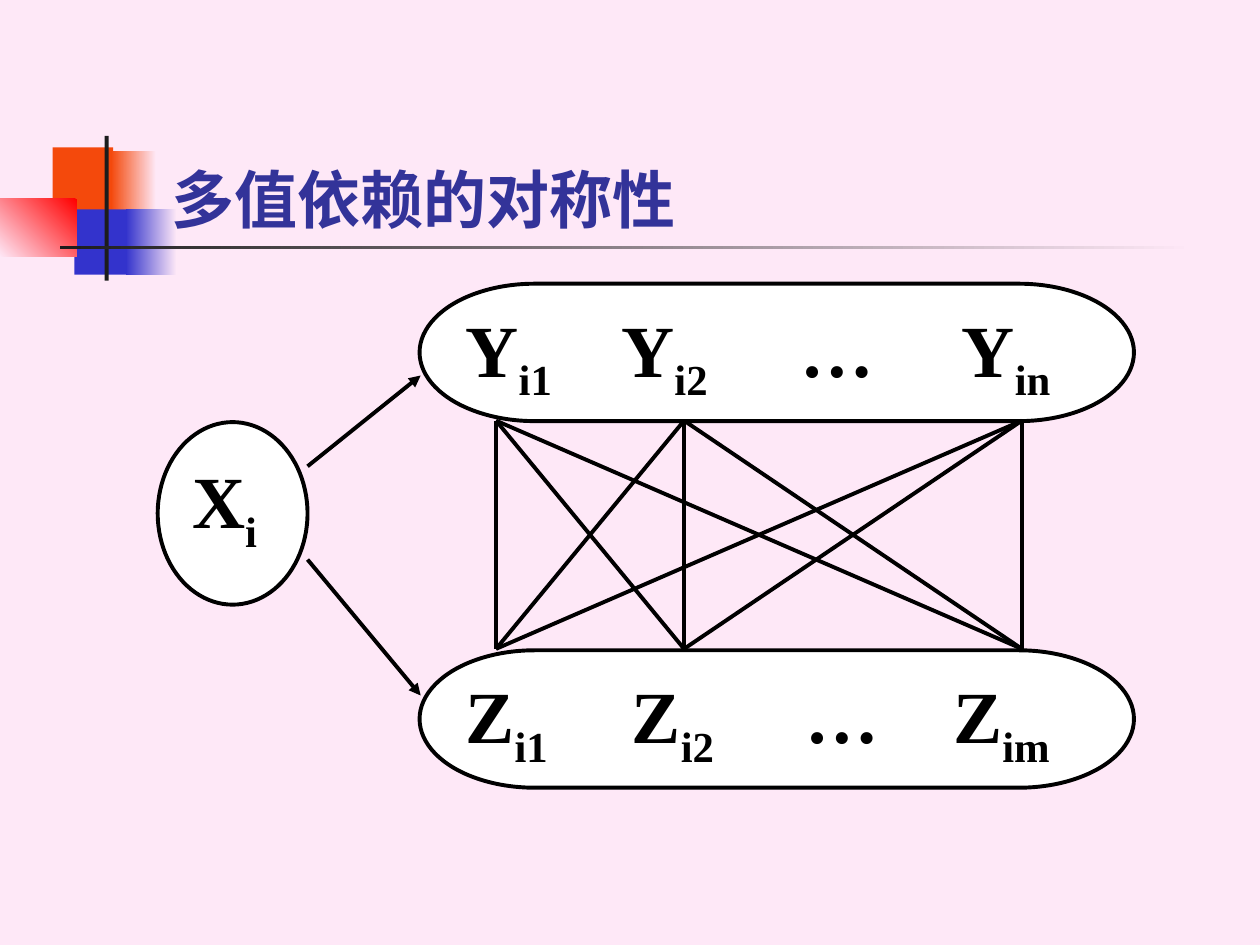
from dataclasses import dataclass
from itertools import product
from typing import NamedTuple

from lxml import etree
from pptx import Presentation
from pptx.dml.color import RGBColor
from pptx.enum.shapes import MSO_CONNECTOR, MSO_SHAPE
from pptx.enum.text import MSO_ANCHOR, MSO_AUTO_SIZE, PP_ALIGN
from pptx.oxml.ns import qn
from pptx.util import Cm, Pt

RECTANGLE = MSO_SHAPE.RECTANGLE
OVAL = MSO_SHAPE.OVAL
TERMINATOR = MSO_SHAPE.FLOWCHART_TERMINATOR
STRAIGHT = MSO_CONNECTOR.STRAIGHT
TITLE_ONLY = 5


@dataclass(frozen=True)
class Theme:
    background: str = "FEE8F7"
    orange: str = "F4490C"
    blue: str = "3333CC"
    red: str = "FF0000"
    charcoal: str = "1C1C1C"
    title: str = "333399"
    ink: str = "000000"
    node: str = "FFFFFF"
    title_font: str = "Lato"
    node_font: str = "Times New Roman"
    title_size: int = 36
    node_size: int = 42
    line_width: float = 2.25


THEME = Theme()


class Box(NamedTuple):
    left: float
    top: float
    width: float
    height: float

    def lengths(self) -> list:
        return [Cm(value) for value in self]


class Point(NamedTuple):
    x: float
    y: float


class Ornament(NamedTuple):
    box: Box
    colors: tuple[str, ...]
    angle: float = 180


class Term(NamedTuple):
    base: str
    subscript: str = ""


class Node(NamedTuple):
    kind: int
    box: Box
    terms: tuple[Term, ...]
    tab_stops: tuple[float, ...] = ()
    inset_top: float = 0


ORNAMENTS = (
    Ornament(Box(1.06, 2.97, 1.22, 1.32), (THEME.orange,)),
    Ornament(Box(2.24, 3.05, 0.91, 1.32), (THEME.background, THEME.orange)),
    Ornament(Box(1.5, 4.22, 1.17, 1.32), (THEME.blue,)),
    Ornament(Box(2.54, 4.22, 1.02, 1.32), (THEME.background, THEME.blue)),
    Ornament(Box(0, 4.01, 1.55, 1.17), (THEME.red, THEME.background), 225),
    Ornament(Box(2.11, 2.74, 0.08, 2.92), (THEME.charcoal,)),
    Ornament(Box(1.22, 4.95, 22.86, 0.08), (THEME.background, THEME.charcoal)),
)

NODES = (
    Node(OVAL, Box(3.18, 8.51, 3.02, 3.68), (Term("X", "i"),), inset_top=0.13),
    Node(TERMINATOR, Box(8.46, 13.11, 14.4, 2.77),
         (Term("Z", "i1"), Term("Z", "i2"), Term("…"), Term("Z", "im")),
         (3.35, 6.86, 9.83)),
    Node(TERMINATOR, Box(8.46, 5.72, 14.4, 2.77),
         (Term("Y", "i1"), Term("Y", "i2"), Term("…"), Term("Y", "in")),
         (3.14, 6.76, 10)),
)

ARROWS = (
    (Point(6.2, 9.4), Point(8.48, 7.57)),
    (Point(6.2, 11.28), Point(8.48, 14.02)),
)
MEMBER_XS = (10, 13.79, 20.6)
Y_EDGE, Z_EDGE = 8.48, 13.08


def rgb(color: str) -> RGBColor:
    return RGBColor.from_string(color)


def draw_ornament(slide, ornament: Ornament) -> None:
    shape = slide.shapes.add_shape(RECTANGLE, *ornament.box.lengths())
    shape.shadow.inherit = False
    shape.line.fill.background()
    if len(ornament.colors) == 1:
        shape.fill.solid()
        shape.fill.fore_color.rgb = rgb(ornament.colors[0])
        return
    shape.fill.gradient()
    shape.fill.gradient_angle = ornament.angle
    for stop, color in zip(shape.fill.gradient_stops, ornament.colors):
        stop.color.rgb = rgb(color)


def set_tab_stops(paragraph, positions: tuple[float, ...]) -> None:
    tab_list = etree.Element(qn("a:tabLst"))
    for position in positions:
        etree.SubElement(tab_list, qn("a:tab"), pos=str(Cm(position)), algn="l")
    properties = paragraph._p.get_or_add_pPr()
    defaults = properties.find(qn("a:defRPr"))
    if defaults is None:
        properties.append(tab_list)
    else:
        defaults.addprevious(tab_list)


def style_font(font, name: str, size: int, color: str) -> None:
    font.name = name
    font.size = Pt(size)
    font.bold = True
    font.color.rgb = rgb(color)


def draw_node(slide, node: Node) -> None:
    shape = slide.shapes.add_shape(node.kind, *node.box.lengths())
    shape.shadow.inherit = False
    shape.fill.solid()
    shape.fill.fore_color.rgb = rgb(THEME.node)
    shape.line.color.rgb = rgb(THEME.ink)
    shape.line.width = Pt(THEME.line_width)
    frame = shape.text_frame
    frame.word_wrap = True
    frame.vertical_anchor = MSO_ANCHOR.TOP
    frame.margin_top = Cm(node.inset_top)
    paragraph = frame.paragraphs[0]
    paragraph.alignment = PP_ALIGN.LEFT
    style_font(paragraph.font, THEME.node_font, THEME.node_size, THEME.ink)
    if node.tab_stops:
        set_tab_stops(paragraph, node.tab_stops)
    for index, term in enumerate(node.terms):
        paragraph.add_run().text = ("\t" if index else "") + term.base
        if term.subscript:
            subscript = paragraph.add_run()
            subscript.text = term.subscript
            subscript.font._element.set("baseline", "-25000")


def draw_line(slide, start: Point, end: Point, arrow: bool = False) -> None:
    connector = slide.shapes.add_connector(
        STRAIGHT, *(Cm(value) for value in (*start, *end)))
    connector.line.color.rgb = rgb(THEME.ink)
    connector.line.width = Pt(THEME.line_width)
    if arrow:
        etree.SubElement(connector.line._get_or_add_ln(), qn("a:tailEnd"), type="triangle")
    etree.SubElement(connector._element.spPr, qn("a:effectLst"))


def write_title(slide, text: str) -> None:
    title = slide.shapes.title
    title.left, title.top, title.width, title.height = Box(3.2, 1.7, 21.64, 3.18).lengths()
    frame = title.text_frame
    frame.text = text
    frame.auto_size = MSO_AUTO_SIZE.NONE
    frame.vertical_anchor = MSO_ANCHOR.BOTTOM
    paragraph = frame.paragraphs[0]
    paragraph.alignment = PP_ALIGN.LEFT
    style_font(paragraph.font, THEME.title_font, THEME.title_size, THEME.title)
    # Bring the title in front of the ornaments.
    title.element.getparent().append(title.element)


def main() -> None:
    presentation = Presentation()
    presentation.slide_width, presentation.slide_height = Cm(25.4), Cm(19.05)
    slide = presentation.slides.add_slide(presentation.slide_layouts[TITLE_ONLY])
    slide.background.fill.solid()
    slide.background.fill.fore_color.rgb = rgb(THEME.background)
    for ornament in ORNAMENTS:
        draw_ornament(slide, ornament)
    write_title(slide, "多值依赖的对称性")
    for node in NODES:
        draw_node(slide, node)
    for start, end in ARROWS:
        draw_line(slide, start, end, arrow=True)
    for y_member, z_member in product(MEMBER_XS, repeat=2):
        draw_line(slide, Point(y_member, Y_EDGE), Point(z_member, Z_EDGE))
    presentation.save("out.pptx")


if __name__ == "__main__":
    main()
